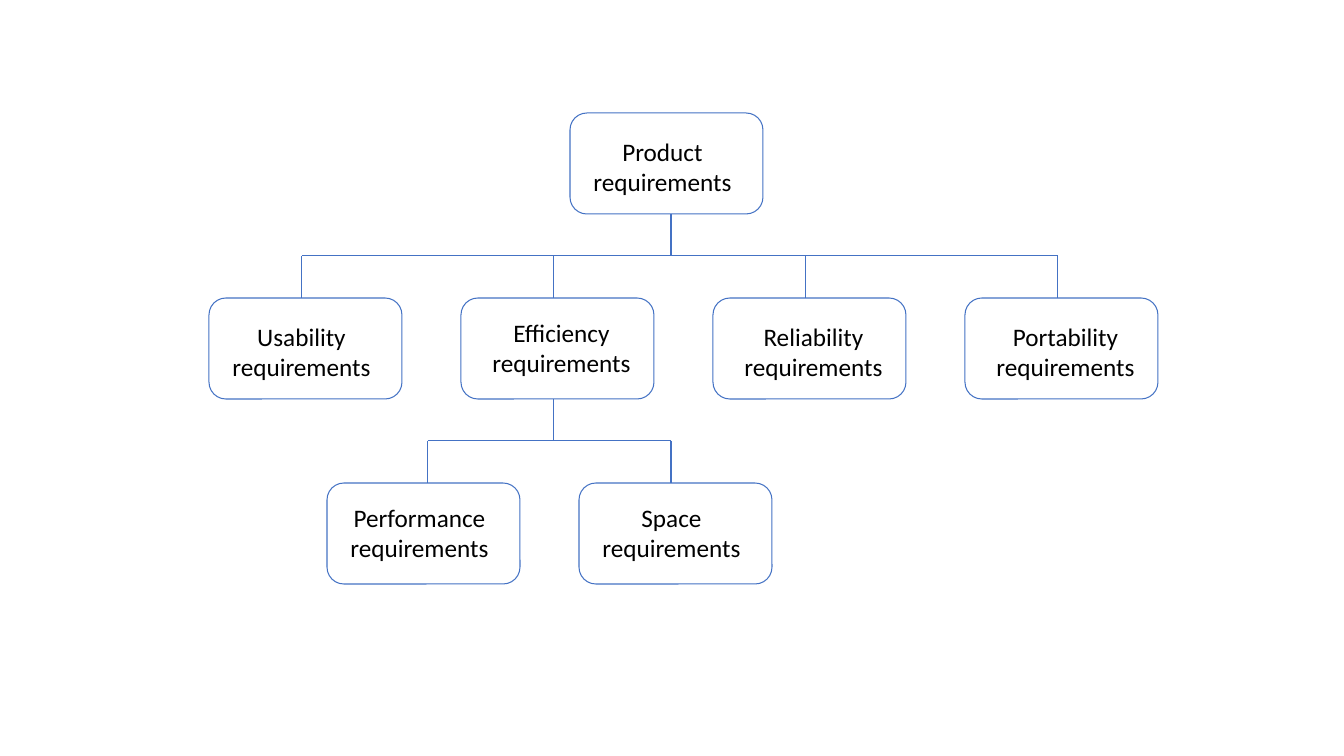
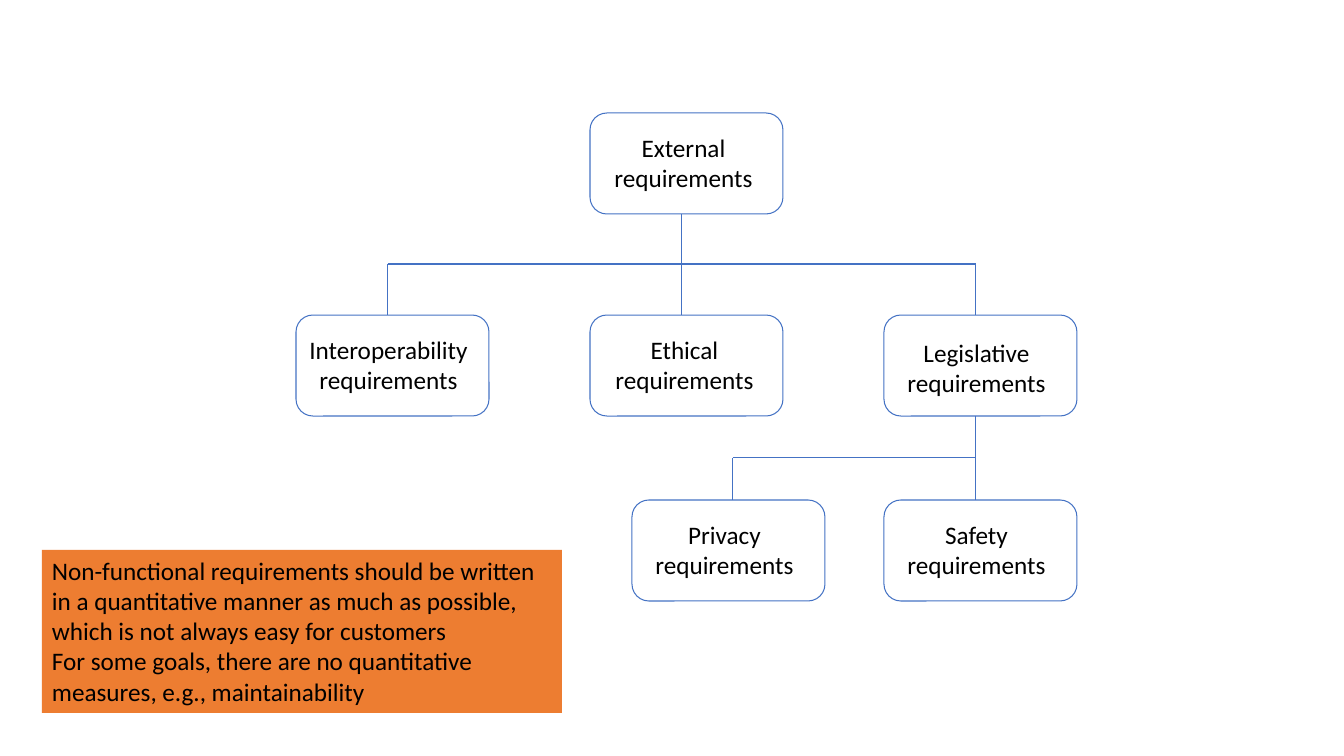
"""Two requirement trees, the second with a highlighted note."""
from lxml.etree import SubElement
from pptx import Presentation
from pptx.dml.color import RGBColor
from pptx.enum.shapes import MSO_CONNECTOR, MSO_SHAPE
from pptx.enum.text import MSO_ANCHOR, PP_ALIGN
from pptx.oxml.ns import qn
from pptx.util import Emu, Pt

BLUE, ORANGE, BLACK = "4472C4", "ED7D31", "000000"
FONT, SIZE = "Calibri", 18
BOX_W, BOX_H = 193, 101
PAD_X, PAD_Y = 6, 5

# name: left, top, line x, text shift right, text shift down
TREES = [
    {
        "nodes": {
            "Product": (570, 113, 671, -4, 3),
            "Usability": (209, 298, 302, -4, 3),
            "Efficiency": (461, 298, 554, 4, -1),
            "Reliability": (713, 298, 806, 4, 3),
            "Portability": (965, 298, 1058, 4, 3),
            "Performance": (327, 483, 428, -4, -1),
            "Space": (579, 483, 671, -4, -1),
        },
        "branches": {
            "Product": ["Usability", "Efficiency", "Reliability", "Portability"],
            "Efficiency": ["Performance", "Space"],
        },
        "note": [],
    },
    {
        "nodes": {
            "External": (590, 113, 682, -3, -1),
            "Interoperability": (296, 315, 388, -4, -1),
            "Ethical": (590, 315, 682, -2, -1),
            "Legislative": (884, 315, 976, -4, 2),
            "Privacy": (632, 500, 733, -4, -1),
            "Safety": (884, 500, 976, -4, -1),
        },
        "branches": {
            "External": ["Interoperability", "Ethical", "Legislative"],
            "Legislative": ["Privacy", "Safety"],
        },
        "note": [
            "Non-functional requirements should be written in a quantitative manner "
            "as much as possible, which is not always easy for customers",
            "For some goals, there are no quantitative measures, e.g., maintainability",
        ],
    },
]


def px(*lengths):
    return [Emu(round(n * 914400 / 100.8)) for n in lengths]


def rgb(color):
    return RGBColor.from_string(color)


prs = Presentation()
prs.slide_width, prs.slide_height = px(1344, 756)

for tree in TREES:
    s = prs.slides.add_slide(prs.slide_layouts[6])
    nodes = tree["nodes"]

    lines = []
    for parent, children in tree["branches"].items():
        bottom = nodes[parent][1] + BOX_H
        child_top = nodes[children[0]][1]
        bus = (bottom + child_top) // 2
        stem = nodes[parent][2]
        drops = [nodes[child][2] for child in children]
        lines.append((stem, bottom, stem, bus))
        lines.append((drops[0], bus, drops[-1], bus))
        lines += [(x, bus, x, child_top) for x in drops]

    for ends in lines:
        line = s.shapes.add_connector(MSO_CONNECTOR.STRAIGHT, *px(*ends))
        line.line.color.rgb = rgb(BLUE)
        line.line.width = Pt(0.75)
        SubElement(line._element.spPr, qn("a:effectLst"))

    texts = []
    for name, (left, top, _, dx, dy) in nodes.items():
        sp = s.shapes.add_shape(MSO_SHAPE.ROUNDED_RECTANGLE, *px(left, top, BOX_W, BOX_H))
        sp.shadow.inherit = False
        sp.fill.background()
        sp.line.color.rgb = rgb(BLUE)
        sp.line.width = Pt(0.75)
        tf = sp.text_frame
        tf.vertical_anchor = MSO_ANCHOR.MIDDLE
        tf.margin_left, tf.margin_right = px(PAD_X + dx, PAD_X - dx)
        tf.margin_top, tf.margin_bottom = px(PAD_Y + dy, PAD_Y - dy)
        texts.append((tf, [name, "requirements"], PP_ALIGN.CENTER))

    if tree["note"]:
        sp = s.shapes.add_textbox(*px(42, 550, 520, 163))
        sp.fill.solid()
        sp.fill.fore_color.rgb = rgb(ORANGE)
        texts.append((sp.text_frame, tree["note"], PP_ALIGN.LEFT))

    for tf, paragraphs, align in texts:
        tf.word_wrap = True
        tf.text = "\n".join(paragraphs)
        for p in tf.paragraphs:
            p.alignment = align
            p.font.name = FONT
            p.font.size = Pt(SIZE)
            p.font.color.rgb = rgb(BLACK)

prs.save("out.pptx")
